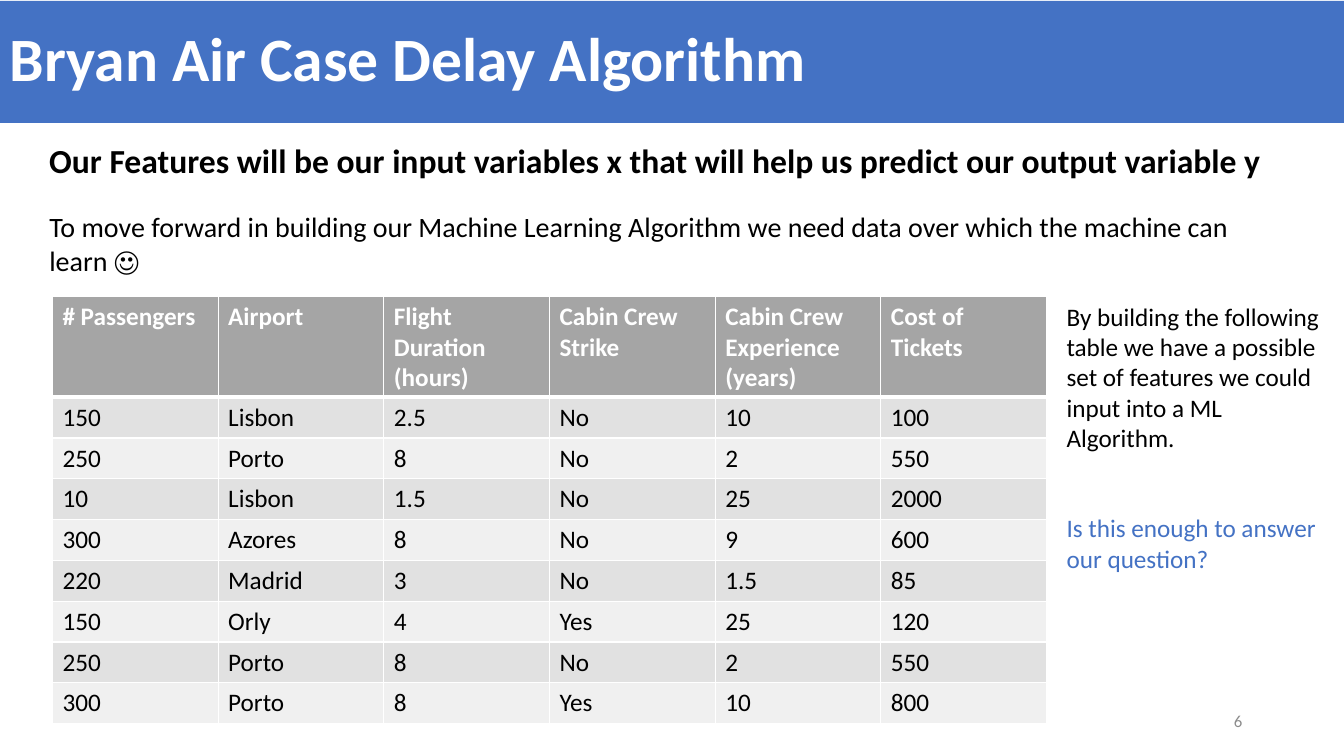
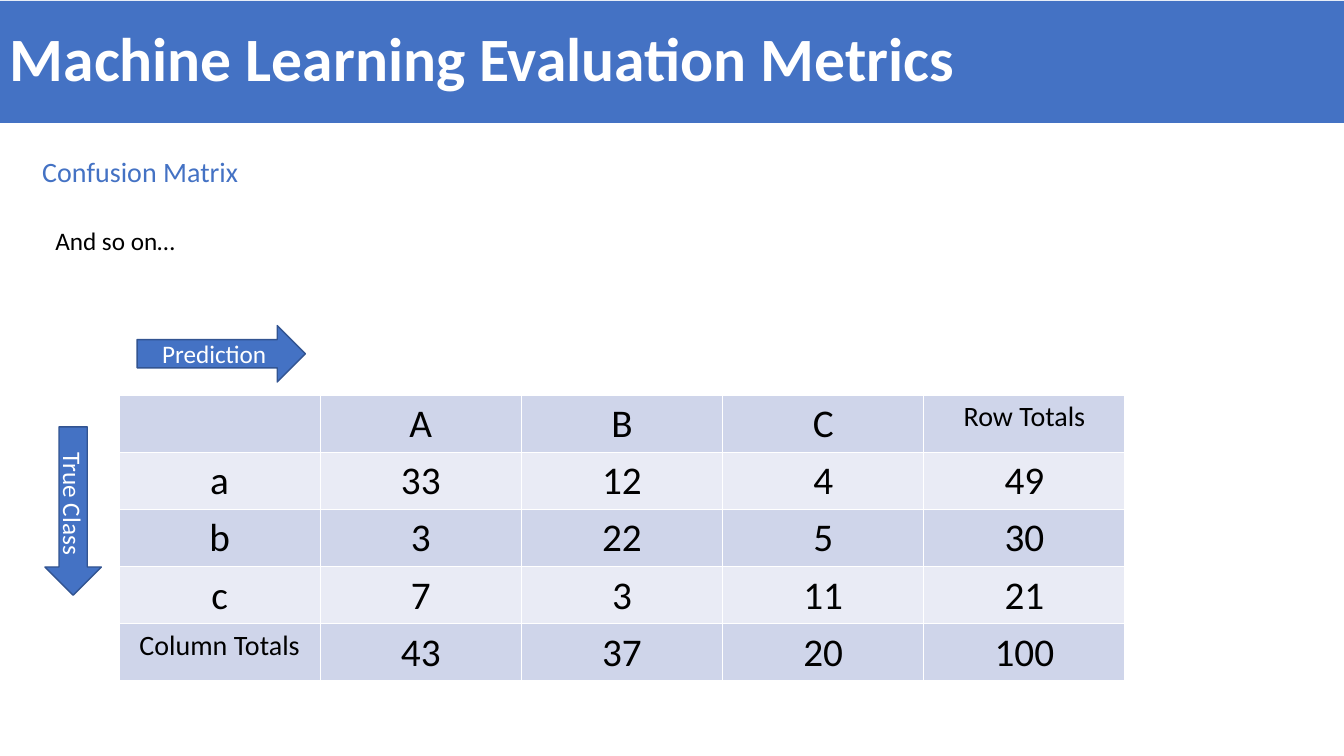
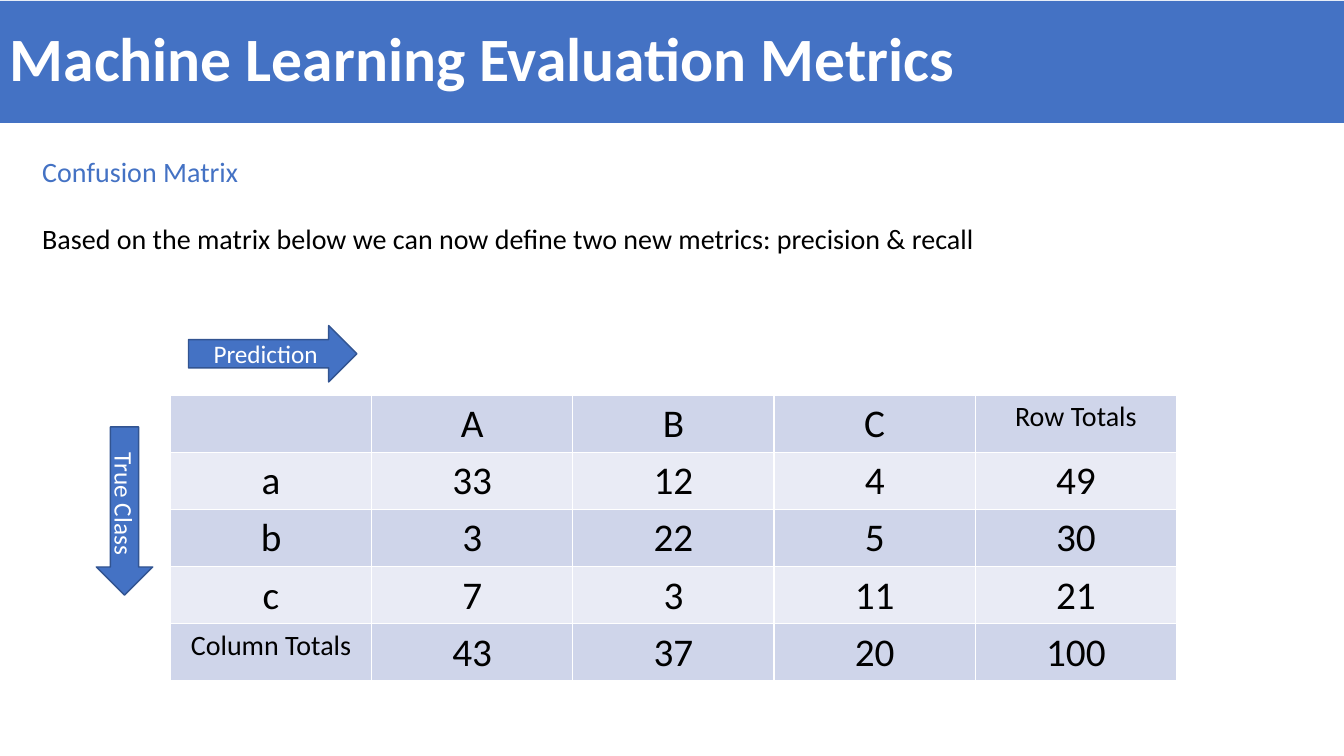
from lxml import etree
from pptx import Presentation
from pptx.dml.color import RGBColor
from pptx.enum.shapes import MSO_SHAPE
from pptx.enum.text import MSO_ANCHOR, PP_ALIGN
from pptx.oxml.ns import qn
from pptx.util import Inches, Pt

RECT = MSO_SHAPE.RECTANGLE
ARROW = MSO_SHAPE.RIGHT_ARROW
MIDDLE = MSO_ANCHOR.MIDDLE
LEFT, CENTER, RIGHT = PP_ALIGN.LEFT, PP_ALIGN.CENTER, PP_ALIGN.RIGHT

BLUE = RGBColor(0x44, 0x72, 0xC4)
NAVY = RGBColor(0x32, 0x54, 0x91)
WHITE = RGBColor(0xFF, 0xFF, 0xFF)
BLACK = RGBColor(0x00, 0x00, 0x00)
GRAY = RGBColor(0x8C, 0x8C, 0x8C)
HEAD = RGBColor(0xA5, 0xA5, 0xA5)
GRAYS = [RGBColor(0xF0, 0xF0, 0xF0), RGBColor(0xE1, 0xE1, 0xE1)]
BLUES = [RGBColor(0xCF, 0xD5, 0xEA), RGBColor(0xE9, 0xEB, 0xF5)]
FONT = "Calibri"


def write(frame, lines, size, bold=False, align=LEFT, gap=0):
    frame.word_wrap = True
    for i, (text, color) in enumerate(lines):
        para = frame.add_paragraph() if i else frame.paragraphs[0]
        para.alignment = align
        para.space_before = Pt(gap if i else 0)
        run = para.add_run()
        run.text = text
        font = run.font
        font.name, font.size, font.bold = FONT, Pt(size), bold
        font.color.rgb = color


def grid(slide, rows, left, width, height, top_row, bands, header):
    table = slide.shapes.add_table(
        len(rows), len(rows[0]), Inches(left), Inches(top),
        Inches(width), Inches(height)).table
    table.first_row = table.horz_banding = False
    for col in table.columns:
        col.width = Inches(width / len(rows[0]))
    for r, row in enumerate(rows):
        rest = (height - top_row) / (len(rows) - 1)
        table.rows[r].height = Inches(rest if r else top_row)
        for c, text in enumerate(row):
            cell = table.cell(r, c)
            props = cell._tc.get_or_add_tcPr()
            for side in "LRTB":
                thick = header and (r, side) in [(0, "B"), (1, "T")]
                line = etree.SubElement(props, qn("a:ln" + side), w=str(Pt(3 if thick else 1)))
                paint = etree.SubElement(line, qn("a:solidFill"))
                etree.SubElement(paint, qn("a:srgbClr"), val=str(WHITE))
            cell.fill.solid()
            title = header and r == 0
            cell.fill.fore_color.rgb = HEAD if title else bands[r % 2]
            if text and header:
                write(cell.text_frame, [(text, WHITE if title else BLACK)], 18, title)
            elif text:
                write(cell.text_frame, [(text, BLACK)], 20 if "Totals" in text else 28,
                      align=CENTER)


flights = [
    ["# Passengers", "Airport", "Flight Duration (hours)", "Cabin Crew Strike",
     "Cabin Crew Experience (years)", "Cost of Tickets"],
    ["150", "Lisbon", "2.5", "No", "10", "100"],
    ["250", "Porto", "8", "No", "2", "550"],
    ["10", "Lisbon", "1.5", "No", "25", "2000"],
    ["300", "Azores", "8", "No", "9", "600"],
    ["220", "Madrid", "3", "No", "1.5", "85"],
    ["150", "Orly", "4", "Yes", "25", "120"],
    ["250", "Porto", "8", "No", "2", "550"],
    ["300", "Porto", "8", "Yes", "10", "800"],
]
matrix = [
    ["", "A", "B", "C", "Row Totals"],
    ["a", "33", "12", "4", "49"],
    ["b", "3", "22", "5", "30"],
    ["c", "7", "3", "11", "21"],
    ["Column Totals", "43", "37", "20", "100"],
]
topic = ("Confusion Matrix", BLUE)
metrics = "Machine Learning Evaluation Metrics"

pages = [
    ("Bryan Air Case Delay Algorithm", [
        (9.42, 6.95, 3, 0.4, 12, False, RIGHT, 0, [("6", GRAY)]),
        (0.39, 1.34, 12.74, 0.5, 24, True, LEFT, 0, [
            ("Our Features will be our input variables x that will help us "
             "predict our output variable y", BLACK)]),
        (0.39, 2.03, 12.39, 0.77, 20, False, LEFT, 0, [
            ("To move forward in building our Machine Learning Algorithm we need "
             "data over which the machine can learn ☺", BLACK)]),
        (10.48, 2.94, 2.78, 2.83, 18, False, LEFT, 43, [
            ("By building the following table we have a possible set of features "
             "we could input into a ML Algorithm.", BLACK),
            ("Is this enough to answer our question?", BLUE)]),
    ], None),
    (metrics, [
        (0.32, 1.48, 11.51, 0.44, 20, False, LEFT, 0, [topic]),
        (0.45, 2.19, 6.74, 0.4, 18, False, LEFT, 0, [("And so on…", BLACK)]),
    ], 1.18),
    (metrics, [
        (0.32, 1.48, 11.51, 1.11, 20, False, LEFT, 24, [
            topic,
            ("Based on the matrix below we can now define two new metrics: "
             "precision & recall", BLACK)]),
    ], 1.69),
]

deck = Presentation()
deck.slide_width, deck.slide_height = Inches(13.33), Inches(7.5)

for title, notes, left in pages:
    slide = deck.slides.add_slide(deck.slide_layouts[6])
    band = slide.shapes.add_shape(RECT, 0, Inches(0.01), deck.slide_width, Inches(1.21))
    band.shadow.inherit = False
    band.fill.solid()
    band.fill.fore_color.rgb = BLUE
    band.line.fill.background()
    band.text_frame.vertical_anchor = MIDDLE
    write(band.text_frame, [(title, WHITE)], 44, True)
    band.text_frame.paragraphs[0].line_spacing = 0.9

    for x, y, wide, high, size, bold, align, gap, lines in notes:
        box = slide.shapes.add_textbox(Inches(x), Inches(y), Inches(wide), Inches(high))
        if align == RIGHT:
            box.text_frame.vertical_anchor = MIDDLE
        write(box.text_frame, lines, size, bold, align, gap)

    if left is None:
        top = 2.94
        grid(slide, flights, 0.52, 9.86, 4.24, 1, GRAYS, True)
        continue
    top = 3.92
    grid(slide, matrix, left, 9.98, 2.83, 2.83 / 5, BLUES, False)
    for label, shift, y, turn in [("Prediction", 0.18, 3.23, 0), ("True Class", -1.29, 4.79, 90)]:
        arrow = slide.shapes.add_shape(
            ARROW, Inches(left + shift), Inches(y), Inches(1.67), Inches(0.56))
        arrow.rotation = turn
        arrow.shadow.inherit = False
        arrow.fill.solid()
        arrow.fill.fore_color.rgb = BLUE
        arrow.line.color.rgb = NAVY
        arrow.line.width = Pt(1)
        arrow.text_frame.vertical_anchor = MIDDLE
        write(arrow.text_frame, [(label, WHITE)], 18, align=CENTER)

deck.save("out.pptx")
